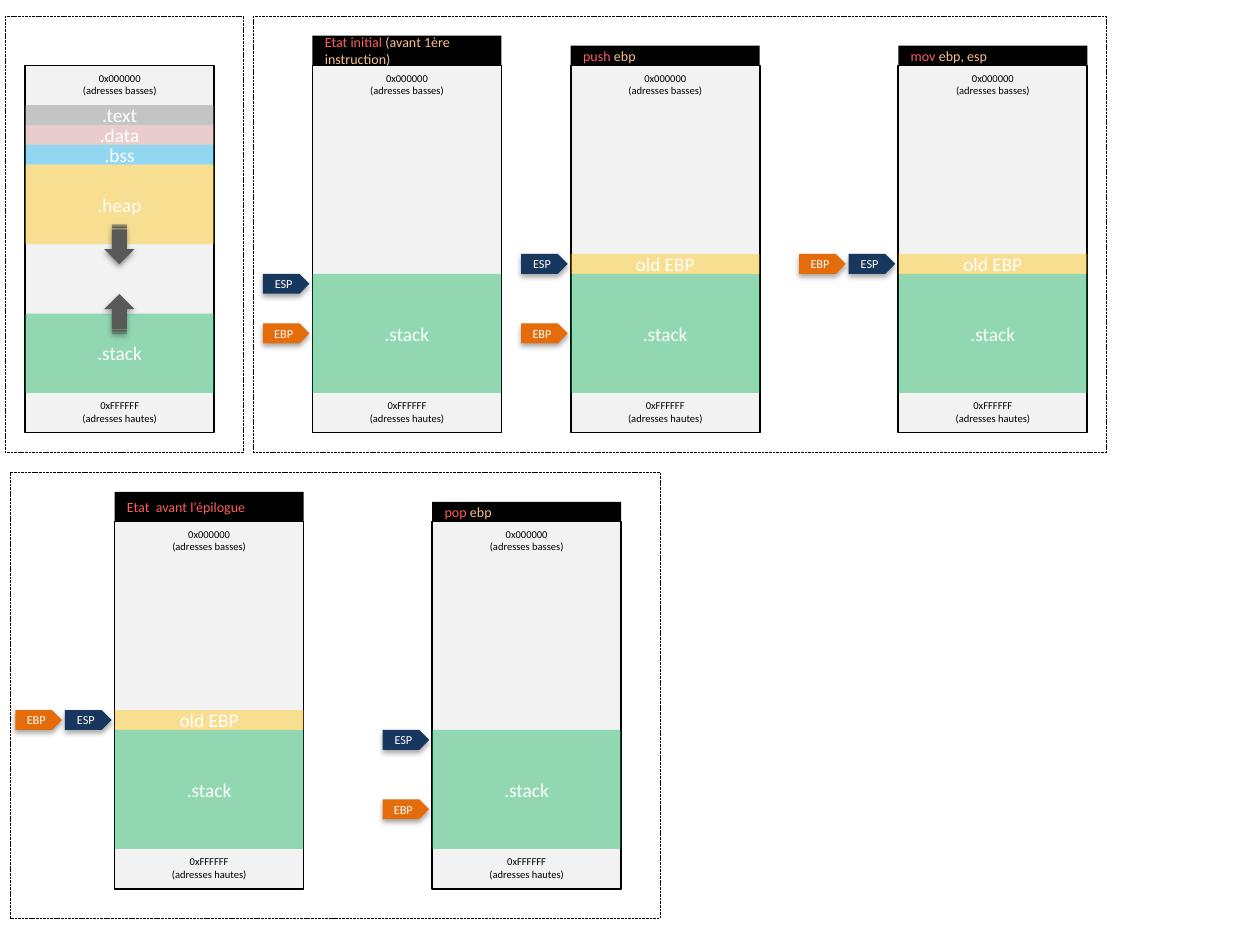
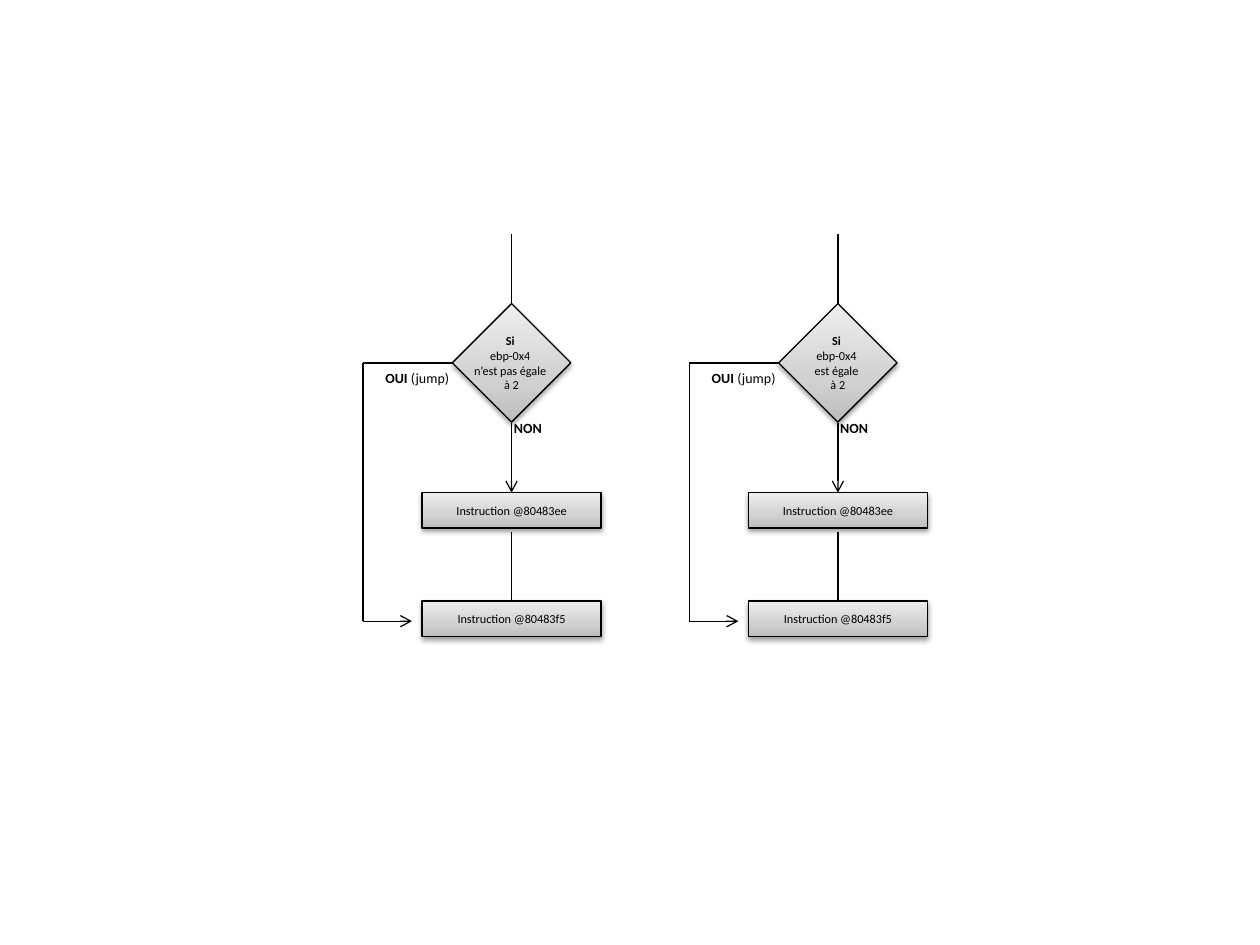
from lxml.etree import SubElement
from pptx import Presentation
from pptx.dml.color import RGBColor
from pptx.enum.dml import MSO_LINE
from pptx.enum.shapes import MSO_CONNECTOR, MSO_SHAPE as SHAPE
from pptx.enum.text import MSO_ANCHOR, MSO_AUTO_SIZE, PP_ALIGN
from pptx.oxml.ns import qn
from pptx.util import Inches, Pt

COLORS = {
    "black": "000000", "white": "FFFFFF", "memory": "F2F2F2", "arrow": "595959",
    "text": "808080", "data": "D99694", "bss": "00B0F0", "heap": "FFC000",
    "stack": "00B050", "esp": "17375E", "ebp": "E46C0A",
    "opcode": "FF5D5D", "operand": "FAC090",
}
GRADIENT = [(0, "BDBDBD"), (35, "D1D1D1"), (100, "EEEEEE")]
FONT = "Calibri"
STEP = 0.4 / 2.54      # height of one memory row
COLUMN_WIDTH = 1.5
COLUMN_ROWS = 18.5


def rgb(name):
    return RGBColor.from_string(COLORS[name])


class Sketch:
    """Style of the deck and the slide being drawn."""

    def __init__(self):
        self.deck = Presentation()
        self.deck.slide_width, self.deck.slide_height = Inches(10), Inches(7.5)
        self.page = None

    def new_page(self):
        self.page = self.deck.slides.add_slide(self.deck.slide_layouts[6])

    # --- text and effects ---
    def set_text(self, box, lines, size, color, align=PP_ALIGN.CENTER, inset=None):
        """Each line is a list of (text, format) spans."""
        frame = box.text_frame
        frame.word_wrap = True
        if inset is not None:
            frame.margin_left = frame.margin_right = Inches(inset)
            frame.margin_top = frame.margin_bottom = Inches(inset)
        for index, spans in enumerate(lines):
            para = frame.add_paragraph() if index else frame.paragraphs[0]
            para.alignment = align
            para.font.name, para.font.size = FONT, Pt(size)
            para.font.color.rgb = rgb(color)
            for text, style in spans:
                span = para.add_run()
                span.text = text
                if style == "bold":
                    span.font.bold = True
                elif style:
                    span.font.color.rgb = rgb(style)

    def add_shadow(self, box, opacity, distance):
        effects = box._element.spPr.find(qn("a:effectLst"))
        shadow = SubElement(effects, qn("a:outerShdw"), blurRad=str(Pt(3.1)),
                            dist=str(Pt(distance)), dir="5400000", rotWithShape="0")
        color = SubElement(shadow, qn("a:srgbClr"), val=COLORS["black"])
        SubElement(color, qn("a:alpha"), val=str(opacity * 1000))

    def add_gradient(self, box):
        box.fill.background()
        properties = box._element.spPr
        gradient = SubElement(properties, qn("a:gradFill"), rotWithShape="1")
        properties.replace(properties.find(qn("a:noFill")), gradient)
        stops = SubElement(gradient, qn("a:gsLst"))
        for position, value in GRADIENT:
            stop = SubElement(stops, qn("a:gs"), pos=str(position * 1000))
            SubElement(stop, qn("a:srgbClr"), val=value)
        SubElement(gradient, qn("a:lin"), ang="16200000", scaled="0")

    # --- basic elements ---
    def shape(self, kind, left, top, width, height, fill=None, line=None, opacity=None):
        box = self.page.shapes.add_shape(
            kind, Inches(left), Inches(top), Inches(width), Inches(height))
        box.shadow.inherit = False
        if fill == "gradient":
            self.add_gradient(box)
        elif fill:
            box.fill.solid()
            box.fill.fore_color.rgb = rgb(fill)
        else:
            box.fill.background()
        if opacity:
            color = box._element.spPr.find(qn("a:solidFill"))[0]
            SubElement(color, qn("a:alpha"), val=str(opacity * 1000))
        if line:
            box.line.color.rgb = rgb("black")
            box.line.width = Pt(line)
        else:
            box.line.fill.background()
        return box

    def label(self, left, top, width, height, lines, size, align):
        box = self.page.shapes.add_textbox(
            Inches(left), Inches(top), Inches(width), Inches(height))
        box.text_frame.auto_size = MSO_AUTO_SIZE.SHAPE_TO_FIT_TEXT
        self.set_text(box, lines, size, "black", align)

    def line(self, start, end, arrow=False):
        link = self.page.shapes.add_connector(
            MSO_CONNECTOR.STRAIGHT, *[Inches(value) for value in (*start, *end)])
        link.line.color.rgb = rgb("black")
        link.line.width = Pt(0.75)
        properties = link._element.spPr
        if arrow:
            SubElement(properties.find(qn("a:ln")), qn("a:tailEnd"), type="arrow")
        SubElement(properties, qn("a:effectLst"))

    # --- memory diagrams ---
    def frame(self, left, top, width, height):
        box = self.shape(SHAPE.RECTANGLE, left, top, width, height, line=0.5)
        box.line.dash_style = MSO_LINE.SQUARE_DOT

    def memory(self, left, top, segments):
        """Segments are (text, colour, first row, number of rows)."""
        self.shape(SHAPE.RECTANGLE, left, top, COLUMN_WIDTH, COLUMN_ROWS * STEP,
                   "memory", 1)
        for row, address, note in ((0, "0x000000", "(adresses basses)"),
                                   (16.5, "0xFFFFFF", "(adresses hautes)")):
            self.label(left, top + row * STEP, COLUMN_WIDTH, 0.3,
                       [[(address, None)], [(note, None)]], 6, PP_ALIGN.CENTER)
        for text, color, row, rows in segments:
            box = self.shape(SHAPE.RECTANGLE, left, top + row * STEP, COLUMN_WIDTH,
                             rows * STEP, color, opacity=40)
            self.set_text(box, [[(text, None)]], 11, "white")

    def growth_arrow(self, left, top, rotation):
        box = self.shape(SHAPE.STRIPED_RIGHT_ARROW, left, top, 2 * STEP, 0.24, "arrow")
        box.rotation = rotation
        self.add_shadow(box, 38, 1.6)

    def pointer(self, name, left, top, slot, row):
        box = self.shape(SHAPE.PENTAGON, left - slot * 2.5 * STEP, top + row * STEP,
                         0.37, STEP, name.lower())
        self.add_shadow(box, 35, 1.8)
        self.set_text(box, [[(name, None)]], 7, "white", inset=0.04)

    def stack_state(self, left, top, title, title_rows, saved, pointers):
        segments = [(".stack", "stack", 10.5, 6)]
        if saved:
            segments.append(("old EBP", "heap", 9.5, 1))
        self.memory(left, top, segments)
        for name, slot, row in pointers:
            self.pointer(name, left, top, slot, row)
        box = self.shape(SHAPE.RECTANGLE, left, top - title_rows * STEP, COLUMN_WIDTH,
                         title_rows * STEP, "black")
        self.set_text(box, [title], 8, "opcode", PP_ALIGN.LEFT)

    # --- flow charts ---
    def step(self, kind, center, top, width, height, lines):
        box = self.shape(kind, center - width / 2, top, width, height, "gradient", 0.75)
        self.add_shadow(box, 38, 1.6)
        self.set_text(box, lines, 7, "black", inset=0)
        box.text_frame.word_wrap = False
        box.text_frame.vertical_anchor = MSO_ANCHOR.MIDDLE

    def branch(self, center, condition):
        lines = [[("Si ", "bold")]] + [
            [(text, None)] for text in ("ebp-0x4 ", condition, "à 2")]
        self.step(SHAPE.DIAMOND, center, 2.41, 0.94, 0.94, lines)
        for top, address in ((3.91, "80483ee"), (4.77, "80483f5")):
            self.step(SHAPE.RECTANGLE, center, top, 1.42, 0.28,
                      [[(f"Instruction @{address}", None)]])
        # Main path
        for top, arrow in ((1.86, False), (3.36, True), (4.22, False)):
            self.line((center, top), (center, top + 0.55), arrow)
        # Jump around the first instruction
        lane = center - 1.18
        self.line((center - 0.47, 2.88), (lane, 2.88))
        self.line((lane, 2.88), (lane, 4.93))
        self.line((lane, 4.93), (center - 0.79, 4.93), arrow=True)
        self.label(center - 1.1, 2.88, 0.79, 0.24,
                   [[("OUI ", "bold"), ("(jump)", None)]], 8, PP_ALIGN.LEFT)
        self.label(center - 0.08, 3.28, 0.47, 0.24, [[("NON", "bold")]], 8,
                   PP_ALIGN.LEFT)


sketch = Sketch()

# Slide 1: memory layout, function prologue and epilogue
sketch.new_page()
UPPER, LOWER = 0.52, 4.14
for area in ((0.04, 0.13, 1.89, 3.46), (2.01, 0.13, 6.77, 3.46), (0.08, 3.75, 5.16, 3.54)):
    sketch.frame(*area)

sketch.memory(0.2, UPPER, [
    (".text", "text", 2, 1), (".data", "data", 3, 1), (".bss", "bss", 4, 1),
    (".heap", "heap", 5, 4), (".stack", "stack", 12.5, 4)])
sketch.growth_arrow(0.79, 1.82, 90)
sketch.growth_arrow(0.79, 2.37, 270)

SIDE_BY_SIDE = [("ESP", 1, 9.5), ("EBP", 2, 9.5)]
STATES = [
    (2.48, UPPER, [("Etat initial ", None), ("(avant 1ère instruction)", "operand")],
     1.5, False, [("ESP", 1, 10.5), ("EBP", 1, 13)]),
    (4.53, UPPER, [("push ", None), ("ebp", "operand")],
     1, True, [("ESP", 1, 9.5), ("EBP", 1, 13)]),
    (7.13, UPPER, [("mov ", None), ("ebp, esp", "operand")], 1, True, SIDE_BY_SIDE),
    (0.91, LOWER, [("Etat  avant l’épilogue", None)], 1.5, True, SIDE_BY_SIDE),
    (3.43, LOWER, [("pop ", None), ("ebp", "operand")],
     1, False, [("ESP", 1, 10.5), ("EBP", 1, 14)]),
]
for state in STATES:
    sketch.stack_state(*state)

# Slide 2: conditional jumps
sketch.new_page()
for center, condition in ((4.06, "n’est pas égale "), (6.65, "est égale ")):
    sketch.branch(center, condition)

sketch.deck.save("out.pptx")
